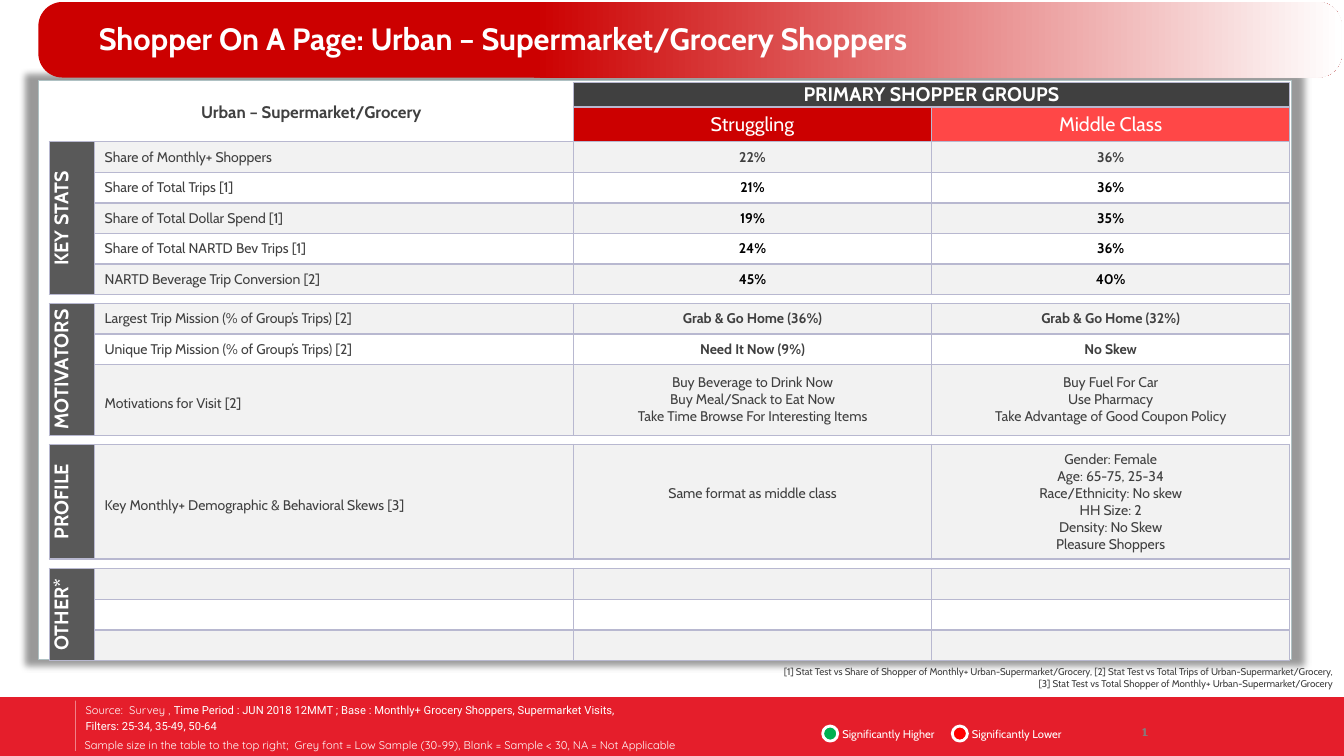
from lxml import etree
from pptx import Presentation
from pptx.dml.color import RGBColor
from pptx.enum import shapes, text
from pptx.oxml import parse_xml
from pptx.oxml.ns import nsdecls, qn
from pptx.util import Pt

COLORS = {
    "white": "FFFFFF", "black": "000000", "ink": "404040", "tab": "595959",
    "band": "F2F2F2", "border": "B8B8D0", "red": "CC0000", "coral": "FF4747",
    "footer": "E51E2B", "panel line": "AFC1C3", "higher": "00B050",
    "lower": "FF0000", "number": "808080",
}
TITLE = "Shopper On A Page: Urban – Supermarket/Grocery Shoppers"
CORNER = "Urban – Supermarket/Grocery"
GROUPS_HEADING = "PRIMARY SHOPPER GROUPS"
GROUPS = [("Struggling", "red"), ("Middle Class", "coral")]

# Each row: height, label, one list of lines per shopper group, colour, bold
SECTIONS = [
    ("KEY STATS", [
        (21.8, "Share of Monthly+ Shoppers", [["22%"], ["36%"]], "ink", True),
        (21.8, "Share of Total Trips [1]", [["21%"], ["36%"]], "black", True),
        (21.8, "Share of Total Dollar Spend [1]", [["19%"], ["35%"]], "black", True),
        (21.8, "Share of Total NARTD Bev Trips [1]", [["24%"], ["36%"]], "black", True),
        (21.8, "NARTD Beverage Trip Conversion [2]", [["45%"], ["40%"]], "black", True),
    ]),
    ("MOTIVATORS", [
        (21.6, "Largest Trip Mission (% of Group’s Trips) [2]",
         [["Grab & Go Home (36%)"], ["Grab & Go Home (32%)"]], "ink", True),
        (21.6, "Unique Trip Mission (% of Group’s Trips) [2]",
         [["Need It Now (9%)"], ["No Skew"]], "ink", True),
        (50.6, "Motivations for Visit [2]",
         [["Buy Beverage to Drink Now", "Buy Meal/Snack to Eat Now",
           "Take Time Browse For Interesting Items"],
          ["Buy Fuel For Car", "Use Pharmacy",
           "Take Advantage of Good Coupon Policy"]], "ink", False),
    ]),
    ("PROFILE", [
        (81.8, "Key Monthly+ Demographic & Behavioral Skews [3]",
         [["Same format as middle class"],
          ["Gender: Female", "Age: 65-75, 25-34", "Race/Ethnicity: No skew",
           "HH Size: 2", "Density: No Skew", "Pleasure Shoppers"]], "ink", False),
    ]),
    ("OTHER*", [(22, "", [[], []], "ink", False)] * 3),
]
HEADER_HEIGHTS = [17.2, 25]
GAP_HEIGHT = 6.7
COLUMN_WIDTHS = [32.4, 342, 255.8, 255.8]

NOTES = [
    "[1] Stat Test vs Share of Shopper of Monthly+ Urban-Supermarket/Grocery, "
    "[2] Stat Test vs Total Trips of Urban-Supermarket/Grocery,",
    "[3] Stat Test vs Total Shopper of Monthly+ Urban-Supermarket/Grocery",
]
# Footer paragraphs are lists of (text, font) runs
SOURCE = [
    [("Source:  Survey , ", "Quicksand"),
     ("Time Period : JUN 2018 12MMT ; Base : Monthly+ Grocery Shoppers, "
      "Supermarket Visits,", "Roboto")],
    [("Filters: 25-34, 35-49, 50-64", "Roboto")],
]
SAMPLE = [[("Sample size in the table to the top right;  Grey font = Low Sample (30-99), "
            "Blank = Sample < 30, NA = Not Applicable", "Quicksand")]]
LEGEND = [("Significantly Higher", "higher"), ("Significantly Lower", "lower")]


def rgb(name):
    """Look up a named colour."""
    return RGBColor.from_string(COLORS[name])


def add_run(paragraph, words, size, color, bold=False, font="Cabin"):
    """Append one formatted run."""
    run = paragraph.add_run()
    run.text = words
    run.font.size, run.font.bold, run.font.name = Pt(size), bold, font
    run.font.color.rgb = rgb(color)


def add_shape(kind, box, fill=None, line=None, width=0.75):
    """Add a shadowless preset shape."""
    shape = slide.shapes.add_shape(kind, *map(Pt, box))
    shape.shadow.inherit = False
    if fill:
        shape.fill.solid()
        shape.fill.fore_color.rgb = rgb(fill)
    if line:
        shape.line.color.rgb = rgb(line)
        shape.line.width = Pt(width)
    else:
        shape.line.fill.background()
    return shape


def add_text(box, paragraphs, size, color, align="LEFT", before=0, anchor="MIDDLE"):
    """Add a wrapping text box of paragraphs made of (text, font) runs."""
    shape = slide.shapes.add_textbox(*map(Pt, box))
    frame = shape.text_frame
    frame.word_wrap = True
    frame.vertical_anchor = getattr(text.MSO_ANCHOR, anchor)
    for index, runs in enumerate(paragraphs):
        paragraph = frame.add_paragraph() if index else frame.paragraphs[0]
        paragraph.alignment = getattr(text.PP_ALIGN, align)
        paragraph.space_before = Pt(before)
        for words, font in runs:
            add_run(paragraph, words, size, color, font=font)
    return frame


def fill_cell(cell, lines=(), size=10, color="ink", bold=False, fill=None,
              left=0, bottom=0, centered=True, spacing=None, edges="LRTB"):
    """Write, fill and border one table cell."""
    cell.margin_left, cell.margin_bottom = Pt(left), Pt(bottom)
    cell.margin_right = cell.margin_top = 0
    cell.vertical_anchor = text.MSO_ANCHOR.MIDDLE
    if fill:
        cell.fill.solid()
        cell.fill.fore_color.rgb = rgb(fill)
    else:
        cell.fill.background()
    frame = cell.text_frame
    for index, words in enumerate(lines):
        paragraph = frame.add_paragraph() if index else frame.paragraphs[0]
        paragraph.alignment = text.PP_ALIGN.CENTER if centered else text.PP_ALIGN.LEFT
        if spacing:
            paragraph.line_spacing = spacing
        add_run(paragraph, words, size, color, bold)
    if not lines:
        etree.SubElement(frame.paragraphs[0]._p, qn("a:endParaRPr"), sz="100")
    properties = cell._tc.get_or_add_tcPr()
    for index, side in enumerate("LRTB"):
        paint = (f'<a:solidFill><a:srgbClr val="{COLORS["border"]}"/></a:solidFill>'
                 if side in edges else "<a:noFill/>")
        properties.insert(index, parse_xml(
            f'<a:ln{side} {nsdecls("a")} w="12700">{paint}</a:ln{side}>'))


def build_table():
    """Lay out the header, then each section with a thin gap row between."""
    heights = list(HEADER_HEIGHTS)
    for index, (_, rows) in enumerate(SECTIONS):
        heights += [GAP_HEIGHT] * (index > 0) + [row[0] for row in rows]
    table = slide.shapes.add_table(
        len(heights), len(COLUMN_WIDTHS), Pt(35.2), Pt(59.2),
        Pt(sum(COLUMN_WIDTHS)), Pt(sum(heights))).table
    table.first_row = table.horz_banding = False
    for column, width in zip(table.columns, COLUMN_WIDTHS):
        column.width = Pt(width)
    for row, height in zip(table.rows, heights):
        row.height = Pt(height)

    table.cell(0, 0).merge(table.cell(1, 1))
    table.cell(0, 2).merge(table.cell(0, 3))
    fill_cell(table.cell(0, 0), [CORNER], 12, bold=True, edges="RB")
    fill_cell(table.cell(0, 2), [GROUPS_HEADING], 14, "white", True, "ink")
    for column, (group, color) in enumerate(GROUPS, 2):
        fill_cell(table.cell(1, column), [group], 14, "white", fill=color)

    top = len(HEADER_HEIGHTS)
    for index, (name, rows) in enumerate(SECTIONS):
        if index:
            for column in range(len(COLUMN_WIDTHS)):
                fill_cell(table.cell(top, column), edges="TB")
            top += 1
        tab = table.cell(top, 0)
        if len(rows) > 1:
            tab.merge(table.cell(top + len(rows) - 1, 0))
        fill_cell(tab, [name], 14, "white", True, "tab")
        tab._tc.get_or_add_tcPr().set("vert", "vert270")
        for offset, (height, label, values, color, bold) in enumerate(rows):
            band = None if offset % 2 else "band"
            fill_cell(table.cell(top + offset, 1), [label] if label else [], fill=band,
                      left=7.2, centered=False, spacing=1.5 if height > 50 else None)
            for column, lines in enumerate(values, 2):
                raised = 12 if height > 80 and len(lines) == 1 else 0
                fill_cell(table.cell(top + offset, column), lines, color=color,
                          bold=bold, fill=band, bottom=raised)
        top += len(rows)


presentation = Presentation()
presentation.slide_width, presentation.slide_height = Pt(960), Pt(540)
slide = presentation.slides.add_slide(presentation.slide_layouts[5])
KIND = shapes.MSO_SHAPE

# Footer
add_shape(KIND.RECTANGLE, (0, 498, 960, 42), "footer")
add_text((54, 499, 469, 27.4), SOURCE, 8, "white", before=1.6)
add_text((53.3, 520, 536, 23.8), SAMPLE, 8, "white", before=1.6)
for index, (label, color) in enumerate(LEGEND):
    left = 587.6 + 92.6 * index
    add_text((left + 7, 517, 86.4, 14.4), [[(label, "Cabin")]], 8, "white", before=1.6)
    add_shape(KIND.OVAL, (left, 518.6, 10.8, 10.8), color, "white", 2)
rule = slide.shapes.add_connector(shapes.MSO_CONNECTOR.STRAIGHT,
                                  Pt(54), Pt(500.4), Pt(54), Pt(536.4))
rule.line.color.rgb, rule.line.width = rgb("white"), Pt(0.5)
rule_color = rule.line._ln.find(".//" + qn("a:srgbClr"))
etree.SubElement(rule_color, qn("a:alpha"), val="43000")
etree.SubElement(rule._element.spPr, qn("a:effectLst"))
for font in ("Arial", "Cabin"):
    number = add_text((815.8, 518.4, 3, 9.4), [[("1", font)]], 8, "number")
    number.word_wrap = False
    number.margin_left = number.margin_right = number.margin_top = number.margin_bottom = 0

# Panel with a soft shadow slightly larger than itself
panel = add_shape(KIND.RECTANGLE, (27.4, 57.6, 895, 413.3), "white", "panel line")
panel._element.spPr.find(qn("a:effectLst")).append(parse_xml(
    f'<a:outerShdw {nsdecls("a")} blurRad="63500" dist="0" sx="102000" sy="102000" '
    f'algn="ctr" rotWithShape="0"><a:srgbClr val="{COLORS["black"]}">'
    '<a:alpha val="40000"/></a:srgbClr></a:outerShdw>'))
build_table()
add_text((543.6, 472.3, 415.4, 24.5), [[(note, "Cabin")] for note in NOTES],
         7, "ink", "RIGHT", anchor="TOP")

# Title banner
banner = add_shape(KIND.ROUNDED_RECTANGLE, (27.4, 1.4, 931, 54))
banner.adjustments[0] = 0.32
stops = "".join(f'<a:gs pos="{position}000"><a:srgbClr val="{COLORS[color]}"/></a:gs>'
                for position, color in [(0, "red"), (38, "red"), (100, "white")])
banner._element.spPr.find(qn("a:prstGeom")).addnext(parse_xml(
    f'<a:gradFill {nsdecls("a")} rotWithShape="1"><a:gsLst>{stops}</a:gsLst>'
    '<a:lin ang="0" scaled="0"/></a:gradFill>'))
title = slide.shapes.title
title.left, title.top, title.width, title.height = map(Pt, (63.4, 12.2, 635, 31.7))
title.text_frame.vertical_anchor = text.MSO_ANCHOR.BOTTOM
title.text_frame.auto_size = text.MSO_AUTO_SIZE.NONE
heading = title.text_frame.paragraphs[0]
heading.alignment, heading.line_spacing = text.PP_ALIGN.LEFT, 0.85
add_run(heading, TITLE, 22, "white", True)
slide.shapes._spTree.append(title._element)

presentation.save("out.pptx")
